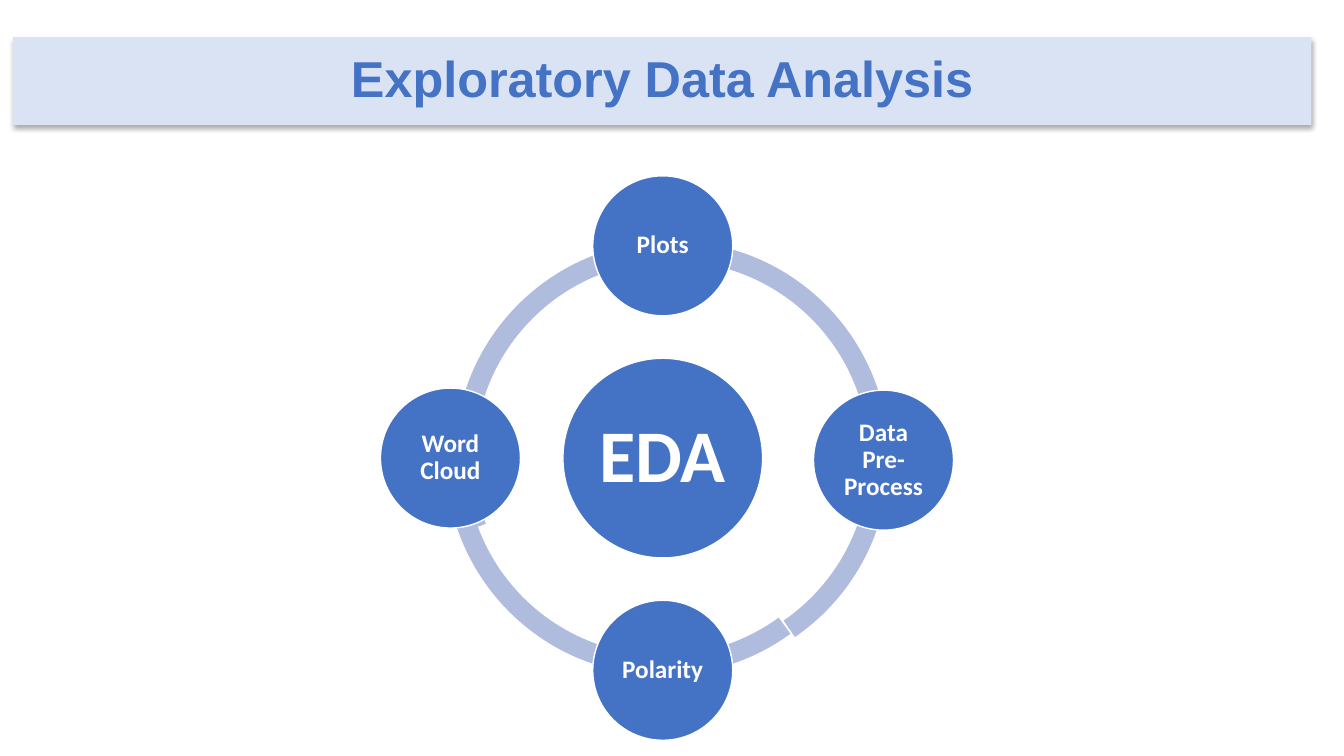
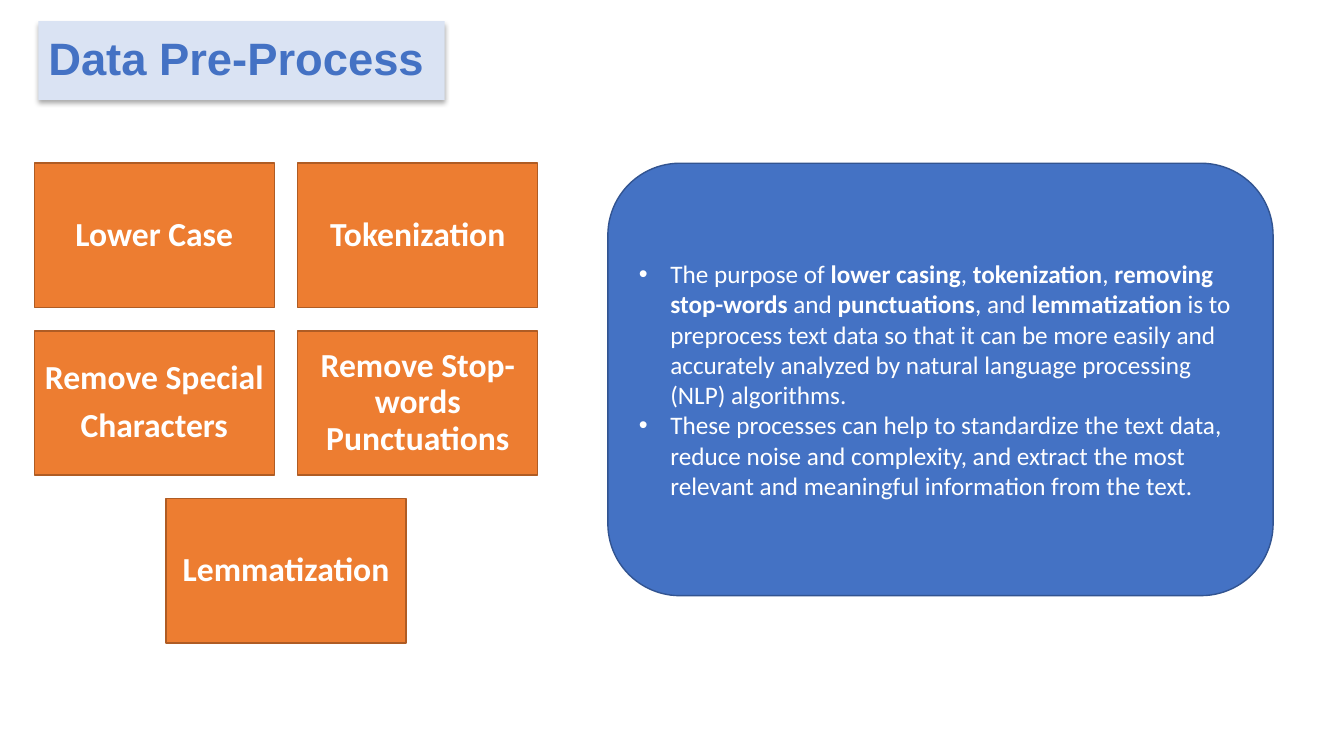
from dataclasses import dataclass

from lxml import etree
from pptx import Presentation
from pptx.dml.color import RGBColor
from pptx.enum.shapes import MSO_SHAPE
from pptx.enum.text import MSO_ANCHOR, PP_ALIGN
from pptx.oxml.ns import qn
from pptx.util import Pt

RECT = MSO_SHAPE.RECTANGLE
ROUND = MSO_SHAPE.ROUNDED_RECTANGLE
OVAL = MSO_SHAPE.OVAL
ARC = MSO_SHAPE.BLOCK_ARC
LEFT, CENTER = PP_ALIGN.LEFT, PP_ALIGN.CENTER
MIDDLE = MSO_ANCHOR.MIDDLE


@dataclass(frozen=True)
class Theme:
    # Colours
    blue: str = "4472C4"
    navy: str = "325491"
    pale: str = "DAE3F3"
    ring: str = "B0BCDE"
    orange: str = "ED7D31"
    rust: str = "AF5C24"
    white: str = "FFFFFF"
    black: str = "000000"
    # Fonts and type sizes
    head: str = "Arial"
    body: str = "Calibri"
    title: float = 36
    small: float = 32.4
    hub: float = 53
    tile: float = 24
    text: float = 18


def color(code):
    return RGBColor.from_string(code)


def add_bullet(para, indent):
    props = para._p.get_or_add_pPr()
    props.set("marL", str(Pt(indent)))
    props.set("indent", str(-Pt(indent)))
    etree.SubElement(props, qn("a:buFont"), typeface="Arial")
    etree.SubElement(props, qn("a:buChar"), char="•")


def write(shape, *paras, font, size, fill, bold=False, align=CENTER,
          lines=0.9, gap=0, inset=(7.2, 3.6), indent=0):
    """Fill a shape with paragraphs; ** switches bold on and off."""
    frame = shape.text_frame
    frame.word_wrap = True
    frame.vertical_anchor = MIDDLE
    frame.margin_left = frame.margin_right = Pt(inset[0])
    frame.margin_top = frame.margin_bottom = Pt(inset[1])
    for i, text in enumerate(paras):
        para = frame.add_paragraph() if i else frame.paragraphs[0]
        para.alignment = align
        para.line_spacing = lines
        para.space_before = Pt(gap if i else 0)
        if indent:
            add_bullet(para, indent)
        for j, part in enumerate(text.split("**")):
            run = para.add_run()
            run.text = part
            run.font.name = font
            run.font.size = Pt(size)
            run.font.bold = bold or j % 2 == 1
            run.font.color.rgb = color(fill)


class Deck:
    def __init__(self, theme):
        self.theme = theme
        self.file = Presentation()
        self.file.slide_width = Pt(960)
        self.file.slide_height = Pt(540)
        self.slide = None

    def new(self):
        self.slide = self.file.slides.add_slide(self.file.slide_layouts[6])

    def shape(self, kind, x, y, w, h, fill, line=None):
        item = self.slide.shapes.add_shape(kind, Pt(x), Pt(y), Pt(w), Pt(h))
        item.shadow.inherit = False
        item.fill.solid()
        item.fill.fore_color.rgb = color(fill)
        if line:
            item.line.color.rgb = color(line)
            item.line.width = Pt(1)
        else:
            item.line.fill.background()
        return item

    def title(self, text, x, y, w, h, size, align):
        t = self.theme
        band = self.shape(RECT, x, y, w, h, t.pale)
        write(band, text, font=t.head, size=size, fill=t.blue, bold=True,
              align=align)
        # Soft shadow straight below the band
        effect = band._element.spPr.find(qn("a:effectLst"))
        shade = etree.SubElement(
            effect, qn("a:outerShdw"), blurRad=str(Pt(3.5)),
            dist=str(Pt(2.2)), dir="5400000", algn="t", rotWithShape="0")
        tint = etree.SubElement(shade, qn("a:srgbClr"), val=t.black)
        etree.SubElement(tint, qn("a:alpha"), val="32000")

    def arc(self, x, y, size, start, end):
        item = self.shape(ARC, x - size / 2, y - size / 2, size, size,
                          self.theme.ring)
        # Angles count in 60000ths of a degree, adjustments in 100000ths
        item.adjustments[0] = start * 0.6
        item.adjustments[1] = end * 0.6
        item.adjustments[2] = 0.046

    def node(self, text, x, y, wide, size, inset):
        t = self.theme
        disc = self.shape(OVAL, x - wide / 2, y - wide / 2, wide, wide,
                          t.blue, t.white)
        write(disc, text, font=t.body, size=size, fill=t.white, bold=True,
              inset=(inset, inset))

    def tile(self, paras, x, y, w, h):
        t = self.theme
        box = self.shape(RECT, x, y, w, h, t.orange, t.rust)
        write(box, *paras, font=t.body, size=t.tile, fill=t.white, bold=True,
              gap=8.4, inset=(7.2, 7.2))

    def panel(self, paras, x, y, w, h):
        t = self.theme
        box = self.shape(ROUND, x, y, w, h, t.blue, t.navy)
        write(box, *paras, font=t.body, size=t.text, fill=t.white,
              align=LEFT, lines=1, indent=22.5)


def draw_wheel(deck):
    t = deck.theme
    deck.new()
    x, y, reach = 473.4, 327.2, 151.6
    # Ring, its right side set a little further out
    for shift, start, end in ((0, 108, 162), (0, 54, 108),
                              (6.5, 0.34, 55.47), (6.5, 160.53, 0.4)):
        deck.arc(x + shift, y, 310.3, start, end)
    # Hub and the nodes around it
    deck.node("EDA", x, y, 142.6, t.hub, 5)
    for text, across, down in (("Plots", 0, -reach),
                               ("Data Pre-Process", 157.7, 1.5),
                               ("Polarity", 0, reach),
                               ("Word Cloud", -reach, 0)):
        deck.node(text, x + across, y + down, 100, t.text, 2)
    deck.title("Exploratory Data Analysis", 9.4, 26.6, 927.4, 62.6,
               t.title, CENTER)


def draw_steps(deck):
    deck.new()
    # Rows of tiles, each row centred
    x, y, w, h, gap = 24.5, 116.6, 171.4, 103, 16.8
    rows = (
        (("Lower Case",), ("Tokenization",)),
        (("Remove Special", "Characters"),
         ("Remove Stop-words Punctuations",)),
        (("Lemmatization",),),
    )
    for i, row in enumerate(rows):
        left = x + (2 - len(row)) * (w + gap) / 2
        for j, paras in enumerate(row):
            deck.tile(paras, left + j * (w + gap), y + i * (h + gap), w, h)
    deck.title("Data Pre-Process", 27.4, 15.1, 290.2, 56.2,
               deck.theme.small, LEFT)
    # Purpose of the steps
    deck.panel((
        "The purpose of **lower casing**, **tokenization**, "
        "**removing stop-words** and **punctuations**, and "
        "**lemmatization** is to preprocess text data so that it can be "
        "more easily and accurately analyzed by natural language "
        "processing (NLP) algorithms.",
        "These processes can help to standardize the text data, reduce "
        "noise and complexity, and extract the most relevant and "
        "meaningful information from the text.",
    ), 434.2, 116.6, 475.2, 308.9)


def main():
    deck = Deck(Theme())
    draw_wheel(deck)
    draw_steps(deck)
    deck.file.save("out.pptx")


if __name__ == "__main__":
    main()
